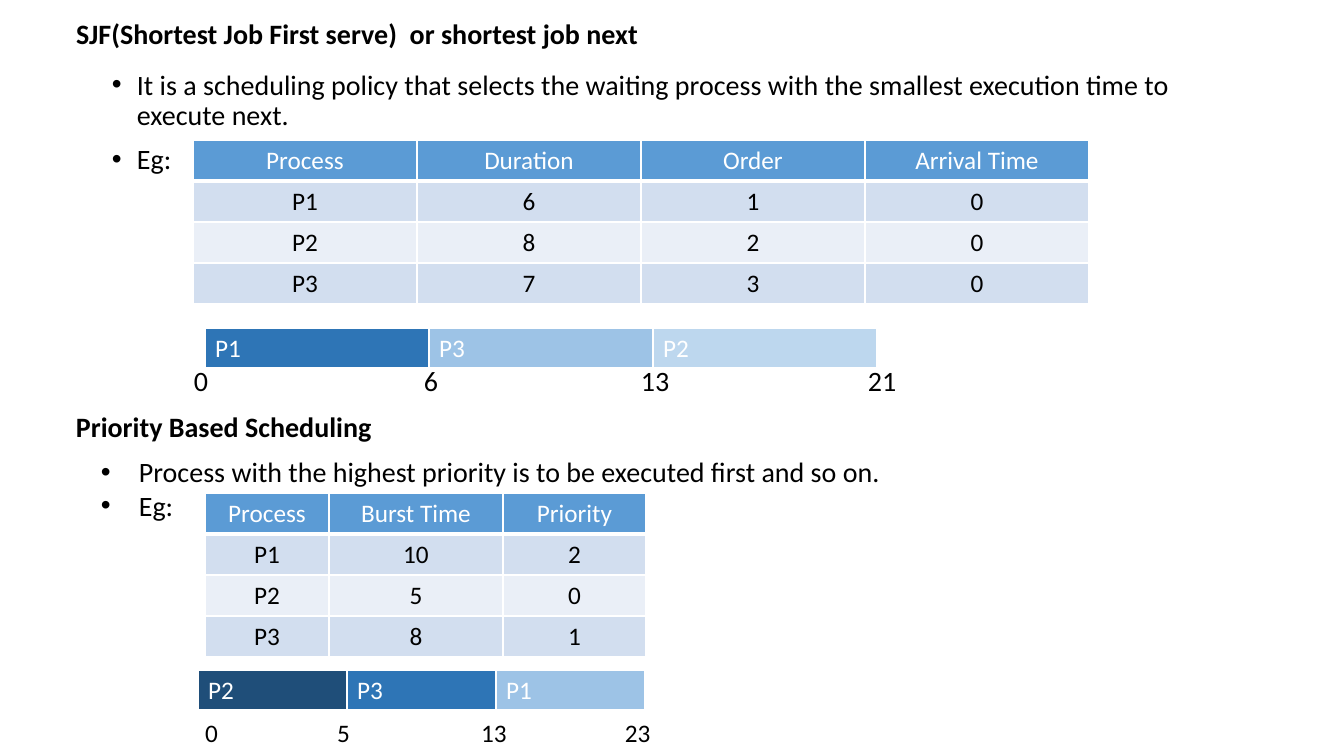
from pptx import Presentation
from pptx.dml.color import RGBColor as RGB
from pptx.enum.text import MSO_ANCHOR as Anchor, MSO_AUTO_SIZE as Auto, PP_ALIGN as Align
from pptx.oxml import parse_xml
from pptx.oxml.ns import nsdecls
from pptx.util import Emu, Pt

SCALE = 914400 / 100.8
BLACK = RGB(0x00, 0x00, 0x00)
WHITE = RGB(0xFF, 0xFF, 0xFF)
HEAD = RGB(0x5B, 0x9B, 0xD5)
BANDS = [RGB(0xEA, 0xEF, 0xF7), RGB(0xD2, 0xDE, 0xEF)]
NAVY = RGB(0x1F, 0x4E, 0x79)
BLUE = RGB(0x2E, 0x75, 0xB6)
SKY = RGB(0x9D, 0xC3, 0xE6)
PALE = RGB(0xBD, 0xD7, 0xEE)
ROW = 41


def px(n):
    return Emu(round(n * SCALE))


class Deck:
    """Holds the style and the current slide, with a method for each kind of element."""

    font = "Calibri"

    def __init__(self, wide, high):
        self.show = Presentation()
        self.show.slide_width, self.show.slide_height = px(wide), px(high)
        self.slide = self.show.slides.add_slide(self.show.slide_layouts[5])

    def words(self, para, text, size=20, color=BLACK, bold=False, **form):
        run = para.add_run()
        run.text = text
        run.font.color.rgb = color
        looks = {"name": self.font, "size": Pt(size), "bold": bold}
        for item, look in ((run.font, looks), (para, form)):
            for key, value in look.items():
                setattr(item, key, value)

    def place(self, shape, box, **form):
        for key, value in zip(("left", "top", "width", "height"), box):
            setattr(shape, key, px(value))
        frame = shape.text_frame
        for key, value in {"word_wrap": True, "auto_size": Auto.NONE, **form}.items():
            setattr(frame, key, value)
        return frame

    def text(self, box, **form):
        return self.place(self.slide.shapes.add_textbox(0, 0, 0, 0), box, **form)

    def title(self, text, box):
        self.label(text, self.place(self.slide.shapes.title, box, vertical_anchor=Anchor.MIDDLE))

    def heading(self, text, box):
        self.label(text, self.text(box, vertical_anchor=Anchor.MIDDLE))

    def label(self, text, frame):
        self.words(frame.paragraphs[0], text, bold=True, alignment=Align.LEFT, line_spacing=0.9)

    def points(self, lines, box, indent, **form):
        frame = self.text(box)
        for i, line in enumerate(lines):
            para = frame.add_paragraph() if i else frame.paragraphs[0]
            self.words(para, line, **form)
            props = para._p.get_or_add_pPr()
            props.set("marL", str(px(indent)))
            props.set("indent", str(px(-indent)))
            props.append(parse_xml(f'<a:buFont {nsdecls("a")} typeface="Arial"/>'))
            props.append(parse_xml(f'<a:buChar {nsdecls("a")} char="•"/>'))

    def ticks(self, marks, top, size):
        start = min(marks)
        flush = dict.fromkeys(("margin_left", "margin_right", "margin_top", "margin_bottom"), 0)
        frame = self.text((start, top, max(marks) - start + 50, 34), **flush)
        para = frame.paragraphs[0]
        self.words(para, "\t".join(marks.values()), size)
        stops = "".join(f'<a:tab pos="{px(x - start)}" algn="l"/>' for x in list(marks)[1:])
        para._p.get_or_add_pPr().append(parse_xml(f'<a:tabLst {nsdecls("a")}>{stops}</a:tabLst>'))

    def grid(self, rows, spot, widths):
        shape = self.slide.shapes.add_table(
            len(rows), len(widths), *map(px, (*spot, sum(widths), ROW * len(rows))))
        table = shape.table
        for col, width in zip(table.columns, widths):
            col.width = px(width)
        for r, row in enumerate(rows):
            table.rows[r].height = px(ROW)
            for c, (text, fill, color, align) in enumerate(row):
                cell = table.cell(r, c)
                cell.fill.solid()
                cell.fill.fore_color.rgb = fill
                self.words(cell.text_frame.paragraphs[0], text, 18, color, alignment=align)
                self.edge(cell, 1 if r else 3)

    def edge(self, cell, base):
        props = cell._tc.get_or_add_tcPr()
        for i, (side, width) in enumerate({"L": 1, "R": 1, "T": 1, "B": base}.items()):
            props.insert(i, parse_xml(
                f'<a:ln{side} {nsdecls("a")} w="{Pt(width)}"><a:solidFill>'
                f'<a:srgbClr val="{WHITE}"/></a:solidFill></a:ln{side}>'))

    def table(self, rows, spot, widths):
        self.grid([[(text, BANDS[r % 2] if r else HEAD, BLACK if r else WHITE, Align.CENTER)
                    for text in row] for r, row in enumerate(rows)], spot, widths)

    def gantt(self, jobs, spot, width):
        self.grid([[(job, fill, WHITE, Align.LEFT) for job, fill in jobs.items()]],
                  spot, [width] * len(jobs))


def main():
    deck = Deck(1344, 756)
    deck.title("SJF(Shortest Job First serve)  or shortest job next", (66, 0, 1233, 71))
    deck.points(["It is a scheduling policy that selects the waiting process with the "
                 "smallest execution time to execute next.", "Eg:"],
                (102, 66, 1159, 641), 25, line_spacing=0.9, space_before=Pt(10))
    deck.table([["Process", "Duration", "Order", "Arrival Time"],
                ["P1", "6", "1", "0"],
                ["P2", "8", "2", "0"],
                ["P3", "7", "3", "0"]], (193, 140), [224] * 4)
    deck.gantt({"P1": BLUE, "P3": SKY, "P2": PALE}, (205, 328), 224)
    deck.ticks({194: "0", 424: "6", 641: "13", 868: "21"}, 363, 20)

    deck.heading("Priority Based Scheduling", (66, 355, 1159, 146))
    deck.points(["Process with the highest priority is to be executed first and so on.", "Eg:"],
                (91, 450, 976, 112), 38)
    deck.table([["Process", "Burst Time", "Priority"],
                ["P1", "10", "2"],
                ["P2", "5", "0"],
                ["P3", "8", "1"]], (205, 493), [124, 174, 143])
    deck.gantt({"P2": NAVY, "P3": BLUE, "P1": SKY}, (198, 670), 149)
    deck.ticks({205: "0", 337: "5", 481: "13", 625: "23"}, 717, 18)
    deck.show.save("out.pptx")


if __name__ == "__main__":
    main()
